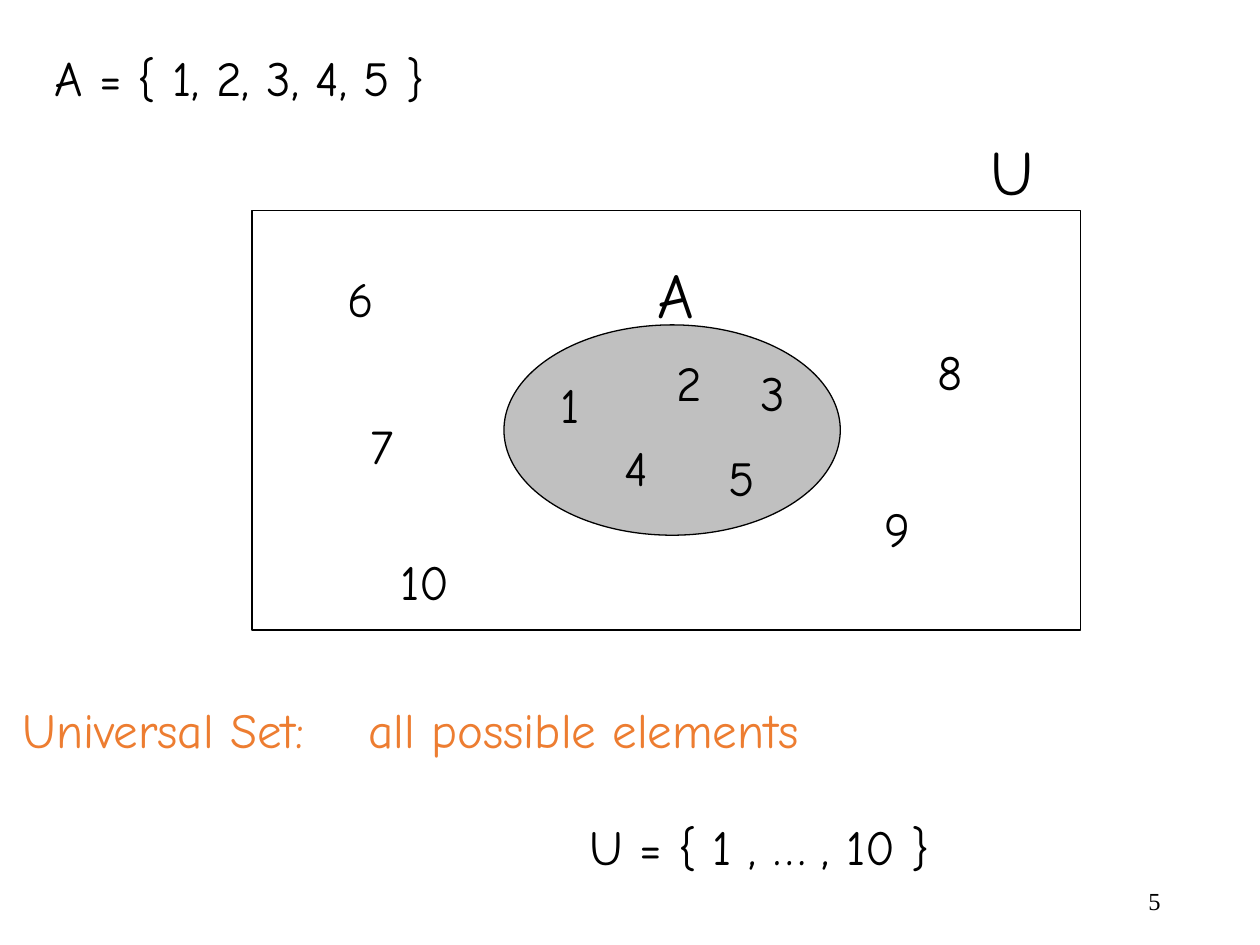
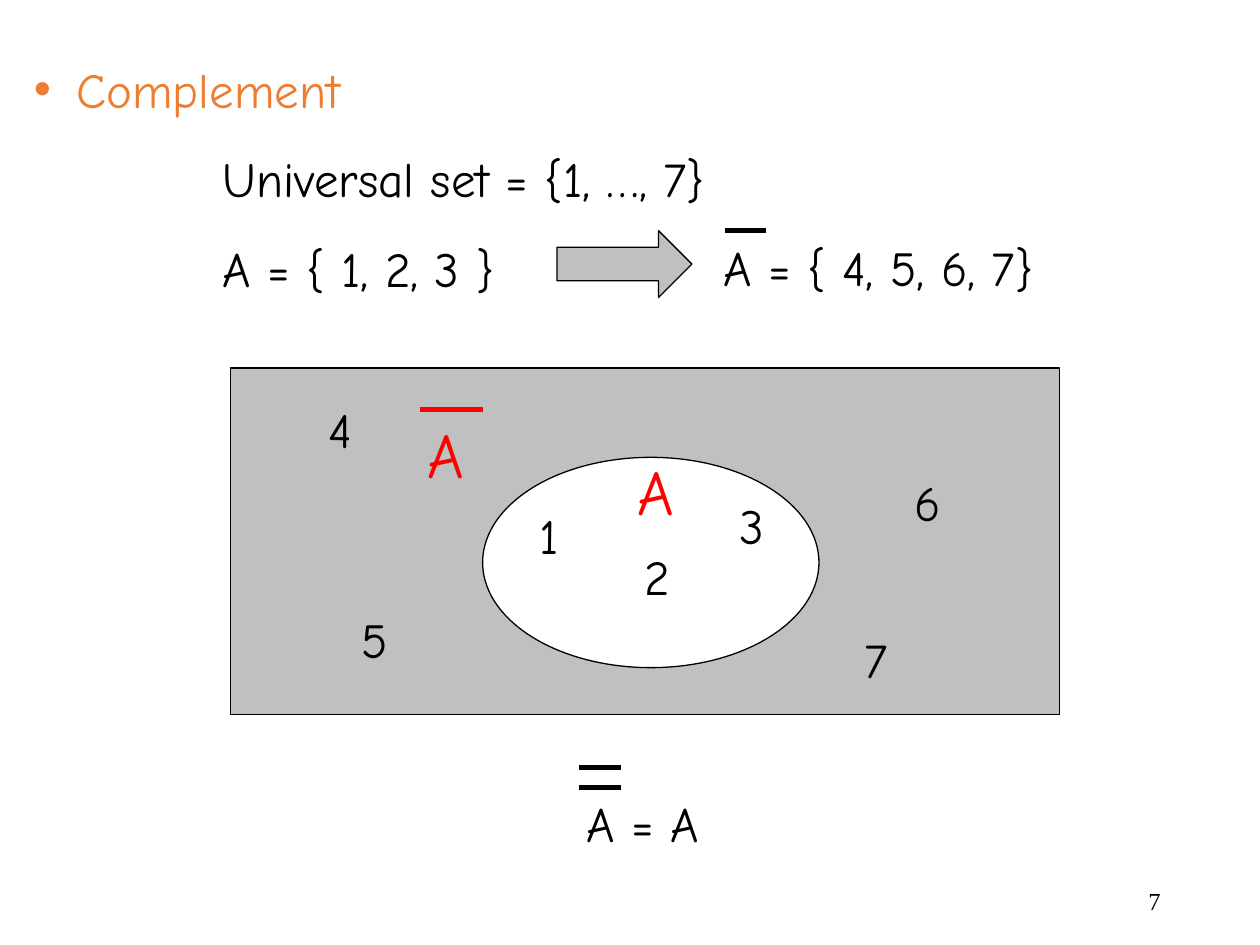
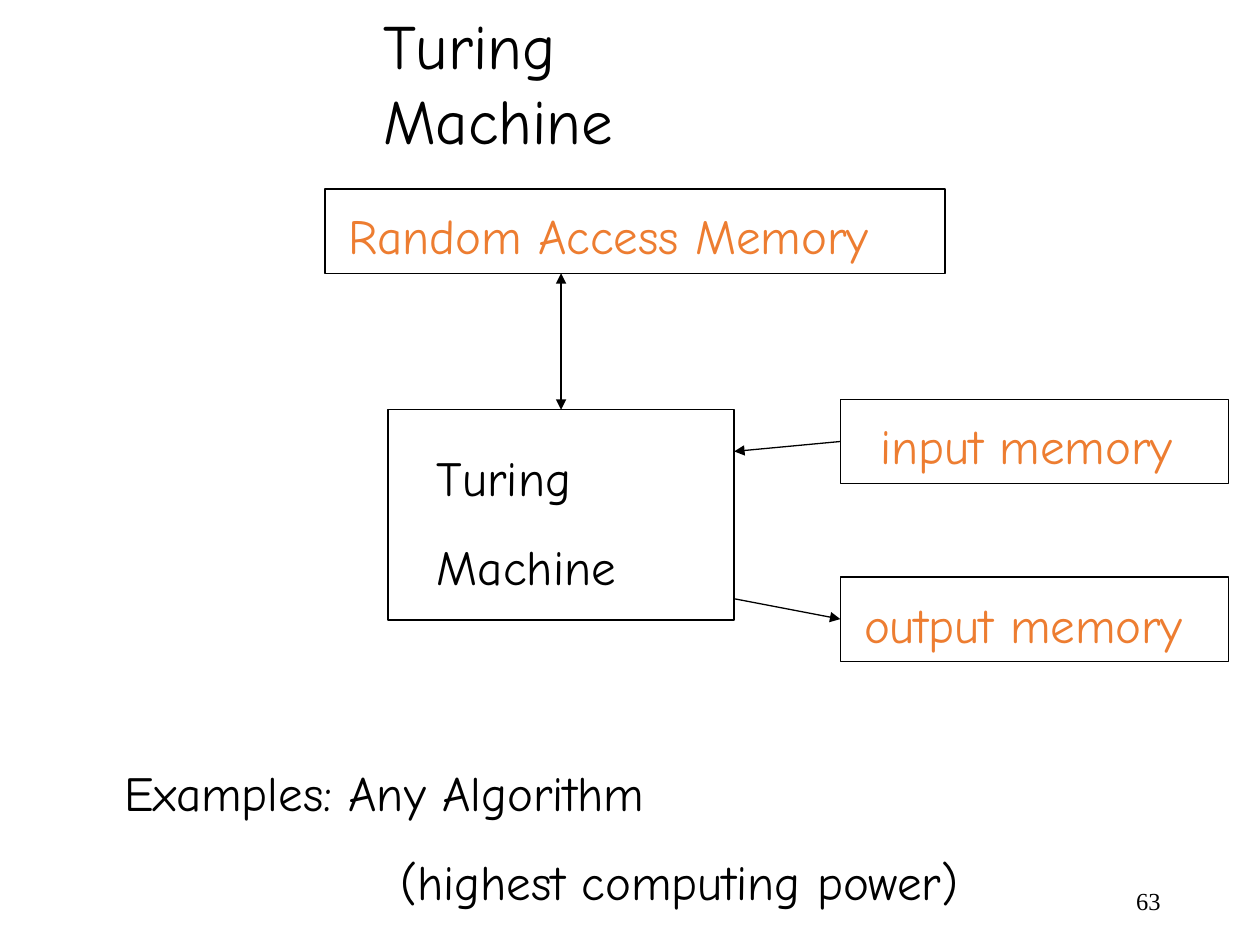
from pptx import Presentation
from pptx.dml.color import RGBColor
from pptx.enum.shapes import MSO_CONNECTOR, MSO_SHAPE
from pptx.enum.text import MSO_ANCHOR, MSO_AUTO_SIZE, PP_ALIGN
from pptx.oxml import parse_xml
from pptx.oxml.ns import nsdecls
from pptx.util import Cm, Pt

COLORS = {"ink": "000000", "accent": "ED7D31", "alert": "FF0000", "shade": "C0C0C0", "paper": "FFFFFF"}
DIGIT_WIDTHS = {"1": 0.89, "2": 1.02, "3": 0.99, "4": 0.99, "5": 1.04,
                "6": 1.04, "7": 0.97, "8": 1.02, "9": 1.02, "10": 1.5}
LINE_HEIGHT = 1.45


def write(box, place, text, color="ink", size=28, wrap=False, font="Comic Neue", align=PP_ALIGN.LEFT):
    box.left, box.top, box.width, box.height = [Cm(length) for length in place]
    frame = box.text_frame
    frame.text = text
    frame.word_wrap = wrap
    frame.auto_size = MSO_AUTO_SIZE.NONE if wrap else MSO_AUTO_SIZE.SHAPE_TO_FIT_TEXT
    frame.vertical_anchor = MSO_ANCHOR.TOP
    for para in frame.paragraphs:
        para.alignment = align
        para.space_before = Pt(17.5)
        for span in para.runs:
            span.font.name = font
            span.font.size = Pt(size)
            span.font.color.rgb = RGBColor.from_string(COLORS[color])
    frame.paragraphs[0].space_before = Pt(0)
    return frame


def draw(page, preset, place, fill=None):
    shape = page.shapes.add_shape(preset, *[Cm(length) for length in place])
    shape.shadow.inherit = False
    shape.line.color.rgb = RGBColor.from_string(COLORS["ink"])
    shape.line.width = Pt(0.75)
    if fill:
        shape.fill.solid()
        shape.fill.fore_color.rgb = RGBColor.from_string(COLORS[fill])
    else:
        shape.fill.background()
    return shape


deck = Presentation()
deck.slide_width, deck.slide_height = Cm(25.4), Cm(19.05)
title_only, title_and_content = deck.slide_layouts[5], deck.slide_layouts[1]
universe_page = deck.slides.add_slide(title_only)
complement_page = deck.slides.add_slide(title_and_content)
machine_page = deck.slides.add_slide(title_only)

write(universe_page.shapes.title, (0.84, 0.84, 22.86, LINE_HEIGHT), "A = { 1, 2, 3, 4, 5 }", wrap=True)
draw(universe_page, MSO_SHAPE.RECTANGLE, (5.08, 4.24, 16.71, 8.46))
draw(universe_page, MSO_SHAPE.OVAL, (10.16, 6.55, 6.78, 4.24), "shade")
for name, left, top, width in [("A", 13, 5.03, 1.24), ("U", 19.71, 2.54, 1.37)]:
    write(universe_page.shapes.add_textbox(0, 0, 0, 0), (left, top, width, 1.78), name, size=36)

definition = write(universe_page.shapes.add_textbox(0, 0, 0, 0), (0.2, 13.97, 20.5, 3.81),
                   "Universal Set:\tall possible elements\nU = { 1 , … , 10 }", "accent", wrap=True)
heading, members = definition.paragraphs
heading._p.get_or_add_pPr().append(parse_xml(
    f'<a:tabLst {nsdecls("a")}><a:tab pos="{Cm(6.98)}" algn="l"/></a:tabLst>'))
members._p.get_or_add_pPr().set("marL", str(Cm(11.43)))
members.space_before = Pt(33.7)
members.runs[0].font.color.rgb = RGBColor.from_string(COLORS["ink"])

complement_page.shapes.title.element.getparent().remove(complement_page.shapes.title.element)
outline = write(complement_page.placeholders[1], (0.43, 1.07, 24.56, 5.05),
                "Complement\nUniversal set = {1, …, 7}\nA = { 1, 2, 3 }", wrap=True)
for number, para in enumerate(outline.paragraphs):
    properties = para._p.get_or_add_pPr()
    properties.set("marL", str(Cm(3.81 if number else 0.86)))
    properties.set("indent", str(Cm(0 if number else -0.86)))
    bullet = "<a:buNone {}/>" if number else '<a:buChar {} char="•"/>'
    properties.append(parse_xml(bullet.format(nsdecls("a"))))
outline.paragraphs[0].runs[0].font.color.rgb = RGBColor.from_string(COLORS["accent"])
write(complement_page.shapes.add_textbox(0, 0, 0, 0), (14.34, 4.67, 6.8, LINE_HEIGHT),
      "A = { 4, 5, 6, 7}", wrap=True)
draw(complement_page, MSO_SHAPE.RIGHT_ARROW, (11.23, 4.65, 2.72, 1.35), "shade")
draw(complement_page, MSO_SHAPE.RECTANGLE, (4.65, 7.42, 16.71, 6.99), "shade")
draw(complement_page, MSO_SHAPE.OVAL, (9.73, 9.22, 6.78, 4.24), "paper")
for left, top in [(8.36, 8.26), (12.6, 8.99)]:
    write(complement_page.shapes.add_textbox(0, 0, 0, 0), (left, top, 1.24, 1.78), "A", "alert", 36,
          align=PP_ALIGN.CENTER)
write(complement_page.shapes.add_textbox(0, 0, 0, 0), (11.58, 15.88, 2.77, LINE_HEIGHT), "A = A")

elements = [
    (universe_page, [("1", 11.05, 7.42), ("2", 13.39, 6.99), ("3", 15.09, 7.19), ("4", 12.34, 8.69),
                     ("5", 14.43, 8.89), ("6", 6.76, 5.28), ("7", 7.21, 8.26), ("8", 18.64, 6.76),
                     ("9", 17.58, 9.93), ("10", 7.82, 11)]),
    (complement_page, [("1", 10.62, 10.06), ("2", 12.75, 10.9), ("3", 14.66, 9.86), ("4", 6.38, 7.92),
                       ("5", 7.04, 12.17), ("6", 18.19, 9.4), ("7", 17.17, 12.57)]),
]
for page, digits in elements:
    for digit, left, top in digits:
        write(page.shapes.add_textbox(0, 0, 0, 0), (left, top, DIGIT_WIDTHS[digit], LINE_HEIGHT), digit)

write(machine_page.shapes.title, (7.47, 0, 9.04, 1.78), "Turing Machine", size=36)
draw(machine_page, MSO_SHAPE.RECTANGLE, (6.55, 3.81, 12.5, 1.7))
input_box, output_box = [draw(machine_page, MSO_SHAPE.RECTANGLE, (16.94, top, 7.82, 1.7))
                         for top in (8.05, 11.63)]
machine_box = draw(machine_page, MSO_SHAPE.RECTANGLE, (7.82, 8.26, 6.98, 4.24))
for text, left, top, width in [("Random Access Memory", 6.78, 4.01, 11.86),
                               ("input memory", 17.5, 8.26, 6.4),
                               ("output memory", 17.17, 11.86, 6.93)]:
    write(machine_page.shapes.add_textbox(0, 0, 0, 0), (left, top, width, LINE_HEIGHT), text, "accent")
write(machine_page.shapes.add_textbox(0, 0, 0, 0), (8.56, 8.89, 4.11, 3.25), "Turing\nMachine")
examples = write(machine_page.shapes.add_textbox(0, 0, 0, 0), (2.26, 15.24, 17.8, 3.25),
                 "Examples: Any Algorithm\n(highest computing power)", wrap=True)
examples.paragraphs[1]._p.get_or_add_pPr().set("marL", str(Cm(5.56)))

links = [
    (complement_page, (14.61, 4.65, 15.44, 4.65), "ink", 3, [], None, None),
    (complement_page, (8.46, 8.26, 9.73, 8.26), "alert", 3, [], None, None),
    (complement_page, (11.68, 15.88, 12.52, 15.88), "ink", 3, [], None, None),
    (complement_page, (11.68, 15.47, 12.52, 15.47), "ink", 3, [], None, None),
    (machine_page, (11.31, 5.51, 11.31, 8.26), "ink", 0.75, ["headEnd", "tailEnd"], None, (machine_box, 0)),
    (machine_page, (16.94, 8.9, 14.8, 9.1), "ink", 0.75, ["tailEnd"], (input_box, 1), None),
    (machine_page, (14.8, 12.07, 16.94, 12.48), "ink", 0.75, ["tailEnd"], None, (output_box, 1)),
]
for page, ends, color, width, arrowheads, start, finish in links:
    link = page.shapes.add_connector(MSO_CONNECTOR.STRAIGHT, *[Cm(length) for length in ends])
    link.line.color.rgb = RGBColor.from_string(COLORS[color])
    link.line.width = Pt(width)
    outline_xml = link.line._get_or_add_ln()
    for arrowhead in arrowheads:
        outline_xml.append(parse_xml(f'<a:{arrowhead} {nsdecls("a")} type="triangle"/>'))
    link._element.spPr.append(parse_xml(f'<a:effectLst {nsdecls("a")}/>'))
    if start:
        link.begin_connect(*start)
    if finish:
        link.end_connect(*finish)

for page, number in zip(deck.slides, ("5", "7", "63")):
    footer = write(page.shapes.add_textbox(0, 0, 0, 0), (17.93, 17.65, 5.72, 1.02), number, size=14,
                   wrap=True, font="Times New Roman", align=PP_ALIGN.RIGHT)
    footer.vertical_anchor = MSO_ANCHOR.MIDDLE

deck.save("out.pptx")
